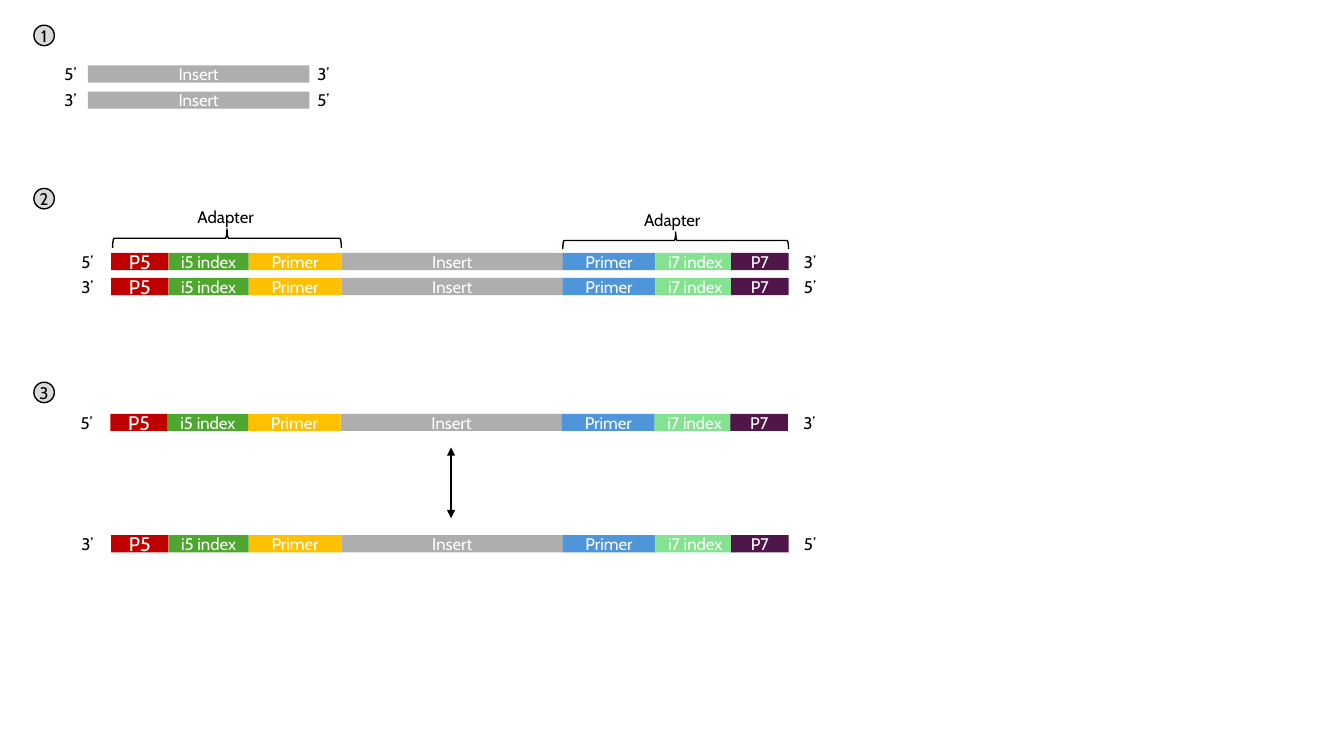
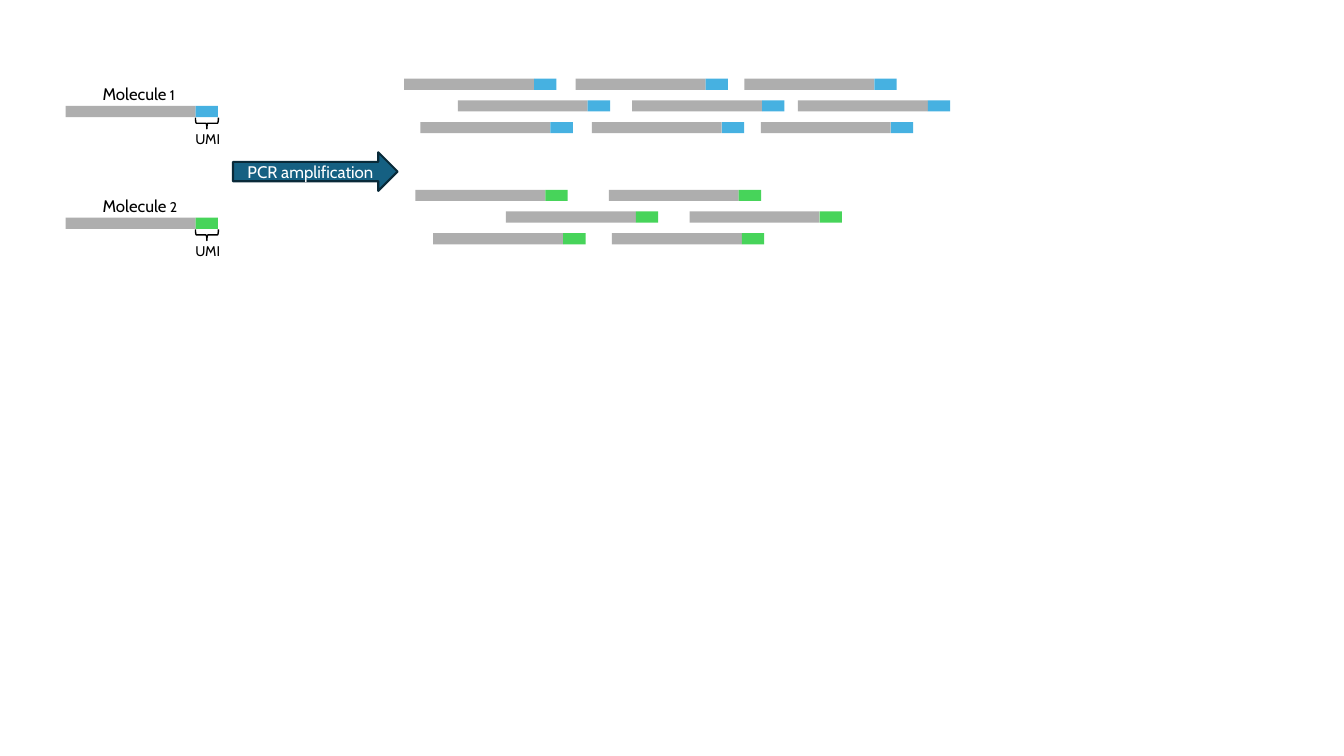
from dataclasses import dataclass

from lxml.etree import SubElement
from pptx import Presentation
from pptx.dml.color import RGBColor
from pptx.enum.shapes import MSO_CONNECTOR, MSO_SHAPE
from pptx.enum.text import MSO_ANCHOR, MSO_AUTO_SIZE, PP_ALIGN
from pptx.oxml.ns import qn
from pptx.shapes.autoshape import Shape
from pptx.shapes.shapetree import GroupShapes, SlideShapes
from pptx.slide import Slide
from pptx.text.text import TextFrame
from pptx.util import Pt


@dataclass(frozen=True)
class Theme:
    font: str = "Cabin"
    body_size: float = 12
    small_size: float = 10
    large_size: float = 14
    line_width: float = 1
    arrow_line_width: float = 1.5
    black: str = "000000"
    white: str = "FFFFFF"
    insert: str = "AEAEAE"
    step: str = "D9D9D9"
    p5: str = "C00000"
    i5_index: str = "4EA72E"
    left_primer: str = "FFC000"
    right_primer: str = "4E95D9"
    i7_index: str = "84E291"
    p7: str = "501649"
    first_umi: str = "46B1E1"
    second_umi: str = "47D45A"
    arrow: str = "156082"
    arrow_line: str = "092A39"


THEME = Theme()


@dataclass(frozen=True)
class Segment:
    text: str
    offset: float
    width: float
    color: str
    size: float = THEME.body_size


@dataclass(frozen=True)
class Strand:
    """A row of segments with the names of its two ends."""
    left: float
    top: float
    segments: tuple[Segment, ...]
    left_end: str
    right_end: str
    left_end_offset: float = -28.4
    right_end_offset: float = 487.8


@dataclass(frozen=True)
class Brace:
    center_x: float
    center_y: float
    span: float
    depth: float


@dataclass(frozen=True)
class Molecule:
    """A source molecule and the rows of fragments amplified from it."""
    number: int
    umi_color: str
    fragments_top: float
    fragment_rows: tuple[tuple[float, ...], ...]


STRAND_HEIGHT = 12.3
END_LABEL_RISE = 4.6
STEP_DIAMETER = 14.6
BRACE_UP, BRACE_DOWN = 90, 270

INSERT_ONLY = (Segment("Insert", 0, 158.2, THEME.insert),)
LIBRARY = (
    Segment("Insert", 164.5, 158.2, THEME.insert),
    Segment("Primer", 98.3, 66.2, THEME.left_primer),
    Segment("i5 index", 41, 57.3, THEME.i5_index),
    Segment("P5", 0, 41, THEME.p5, THEME.large_size),
    Segment("Primer", 322.5, 66.2, THEME.right_primer),
    Segment("i7 index", 388.7, 57, THEME.i7_index),
    Segment("P7", 442.9, 41, THEME.p7),
)
STRANDS = (
    Strand(62.8, 46.8, INSERT_ONLY, "5’", "3’", -23.8, 156.8),
    Strand(62.8, 65.4, INSERT_ONLY, "3’", "5’", -23.8, 156.8),
    Strand(79.4, 180.7, LIBRARY, "5’", "3’"),
    Strand(79.4, 198.6, LIBRARY, "3’", "5’"),
    Strand(78.9, 295.6, LIBRARY, "5’", "3’"),
    Strand(79.4, 382.3, LIBRARY, "3’", "5’"),
)
STEP_TOPS = (18, 134.6, 273)
ADAPTERS = (
    (Brace(162.1, 170.2, 163.4, 13.6), 134, 144),
    (Brace(482.6, 171.8, 161.3, 12.2), 453, 146.6),
)

FRAGMENT_HEIGHT = 8
FRAGMENT_INSERT_WIDTH = 92.8
UMI_WIDTH = 16
FRAGMENT_ROW_PITCH = 15.5
MOLECULE_PITCH = 79.8
MOLECULES = (
    Molecule(1, THEME.first_umi, 56.2, (
        (288.7, 411.2, 531.7),
        (327, 451.6, 570),
        (300.4, 422.8, 543.5),
    )),
    Molecule(2, THEME.second_umi, 135.6, (
        (296.8, 434.9),
        (361.4, 492.6),
        (309.5, 437.1),
    )),
)


def add_run(frame: TextFrame, text: str, *, size: float = THEME.body_size,
            color: str = THEME.black) -> None:
    run = frame.paragraphs[0].add_run()
    run.text = text
    run.font.name = THEME.font
    run.font.size = Pt(size)
    run.font.color.rgb = RGBColor.from_string(color)


def add_label(slide: Slide, text: str, left: float, top: float, width: float,
              *, height: float = 21.8, size: float = THEME.body_size) -> TextFrame:
    box = slide.shapes.add_textbox(Pt(left), Pt(top), Pt(width), Pt(height))
    frame = box.text_frame
    frame.word_wrap = False
    frame.auto_size = MSO_AUTO_SIZE.SHAPE_TO_FIT_TEXT
    add_run(frame, text, size=size)
    return frame


def add_box(shapes: SlideShapes | GroupShapes, kind: MSO_SHAPE, left: float,
            top: float, width: float, height: float, *,
            fill: str | None = None, line: str | None = None,
            line_width: float = THEME.line_width, text: str = "",
            size: float = THEME.body_size, color: str = THEME.white) -> Shape:
    """Add a preset shape with optional fill, outline and centred text."""
    shape = shapes.add_shape(kind, Pt(left), Pt(top), Pt(width), Pt(height))
    shape.shadow.inherit = False
    if fill:
        shape.fill.solid()
        shape.fill.fore_color.rgb = RGBColor.from_string(fill)
    else:
        shape.fill.background()
    if line:
        shape.line.color.rgb = RGBColor.from_string(line)
        shape.line.width = Pt(line_width)
    else:
        shape.line.fill.background()
    if text:
        frame = shape.text_frame
        frame.word_wrap = False
        frame.margin_left = frame.margin_right = 0
        frame.margin_top = frame.margin_bottom = 0
        frame.vertical_anchor = MSO_ANCHOR.MIDDLE
        frame.paragraphs[0].alignment = PP_ALIGN.CENTER
        add_run(frame, text, size=size, color=color)
    return shape


def add_brace(slide: Slide, brace: Brace, rotation: int) -> None:
    shape = add_box(slide.shapes, MSO_SHAPE.LEFT_BRACE,
                    brace.center_x - brace.depth / 2,
                    brace.center_y - brace.span / 2,
                    brace.depth, brace.span, line=THEME.black)
    shape.rotation = rotation


def add_double_arrow(slide: Slide, x: float, top: float, bottom: float) -> None:
    connector = slide.shapes.add_connector(
        MSO_CONNECTOR.STRAIGHT, Pt(x), Pt(bottom), Pt(x), Pt(top))
    connector.line.color.rgb = RGBColor.from_string(THEME.black)
    connector.line.width = Pt(THEME.line_width)
    line = connector.line._get_or_add_ln()
    for end in ("a:headEnd", "a:tailEnd"):
        SubElement(line, qn(end), type="triangle")
    SubElement(connector._element.spPr, qn("a:effectLst"))


def add_strand(slide: Slide, strand: Strand) -> None:
    for segment in strand.segments:
        add_box(slide.shapes, MSO_SHAPE.RECTANGLE, strand.left + segment.offset,
                strand.top, segment.width, STRAND_HEIGHT, fill=segment.color,
                text=segment.text, size=segment.size)
    for text, offset in ((strand.left_end, strand.left_end_offset),
                         (strand.right_end, strand.right_end_offset)):
        add_label(slide, text, strand.left + offset,
                  strand.top - END_LABEL_RISE, 24.5)


def add_fragment(slide: Slide, left: float, top: float, umi_color: str) -> None:
    """Add a grouped insert bar with its UMI tag."""
    group = slide.shapes.add_group_shape()
    for x, width, color in (
            (left, FRAGMENT_INSERT_WIDTH, THEME.insert),
            (left + FRAGMENT_INSERT_WIDTH, UMI_WIDTH, umi_color)):
        add_box(group.shapes, MSO_SHAPE.RECTANGLE, x, top, width,
                FRAGMENT_HEIGHT, fill=color)


def add_molecule(slide: Slide, molecule: Molecule) -> None:
    shift = (molecule.number - 1) * MOLECULE_PITCH
    add_fragment(slide, 46.9, 75.7 + shift, molecule.umi_color)
    caption = add_label(slide, "Molecule", 66.2, 56.3 + shift, 70.6)
    add_run(caption, f" {molecule.number}", size=THEME.small_size)
    add_brace(slide, Brace(147.8, 88 + shift, 16.4, 8), BRACE_DOWN)
    add_label(slide, "UMI", 132.4, 89.6 + shift, 34, height=19.4,
              size=THEME.small_size)
    for row, lefts in enumerate(molecule.fragment_rows):
        for left in lefts:
            add_fragment(slide, left,
                         molecule.fragments_top + row * FRAGMENT_ROW_PITCH,
                         molecule.umi_color)


def build_library_slide(slide: Slide) -> None:
    for number, top in enumerate(STEP_TOPS, start=1):
        add_box(slide.shapes, MSO_SHAPE.OVAL, 24.2, top, STEP_DIAMETER,
                STEP_DIAMETER, fill=THEME.step, line=THEME.black,
                text=str(number), color=THEME.black)
    for strand in STRANDS:
        add_strand(slide, strand)
    for brace, label_left, label_top in ADAPTERS:
        add_label(slide, "Adapter", label_left, label_top, 56.4)
        add_brace(slide, brace, BRACE_UP)
    add_double_arrow(slide, 322.2, 319.6, 370.2)


def build_amplification_slide(slide: Slide) -> None:
    for molecule in MOLECULES:
        add_molecule(slide, molecule)
    add_box(slide.shapes, MSO_SHAPE.RIGHT_ARROW, 166.4, 108.8, 117.6, 27.6,
            fill=THEME.arrow, line=THEME.arrow_line,
            line_width=THEME.arrow_line_width, text="PCR amplification")


def main() -> None:
    presentation = Presentation()
    presentation.slide_width = Pt(960)
    presentation.slide_height = Pt(540)
    blank_layout = presentation.slide_layouts[6]
    for build in (build_library_slide, build_amplification_slide):
        build(presentation.slides.add_slide(blank_layout))
    presentation.save("out.pptx")


if __name__ == "__main__":
    main()
